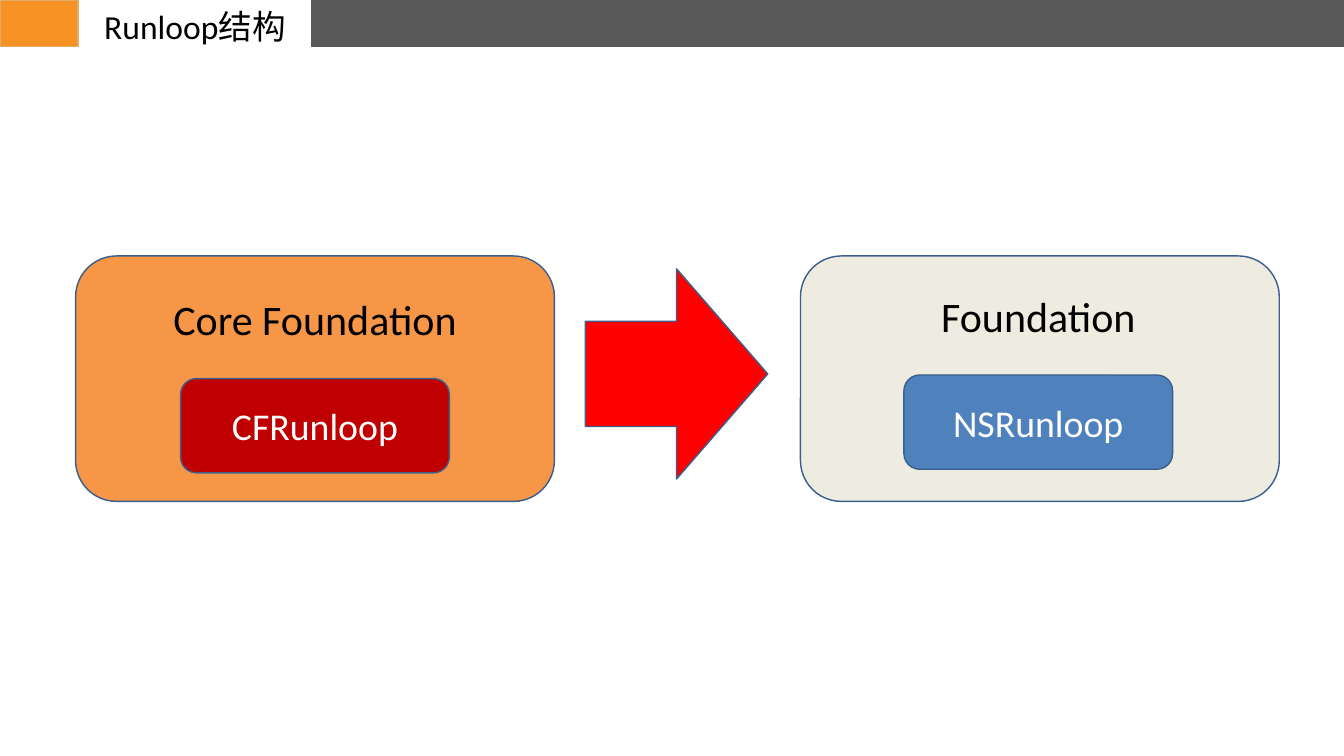
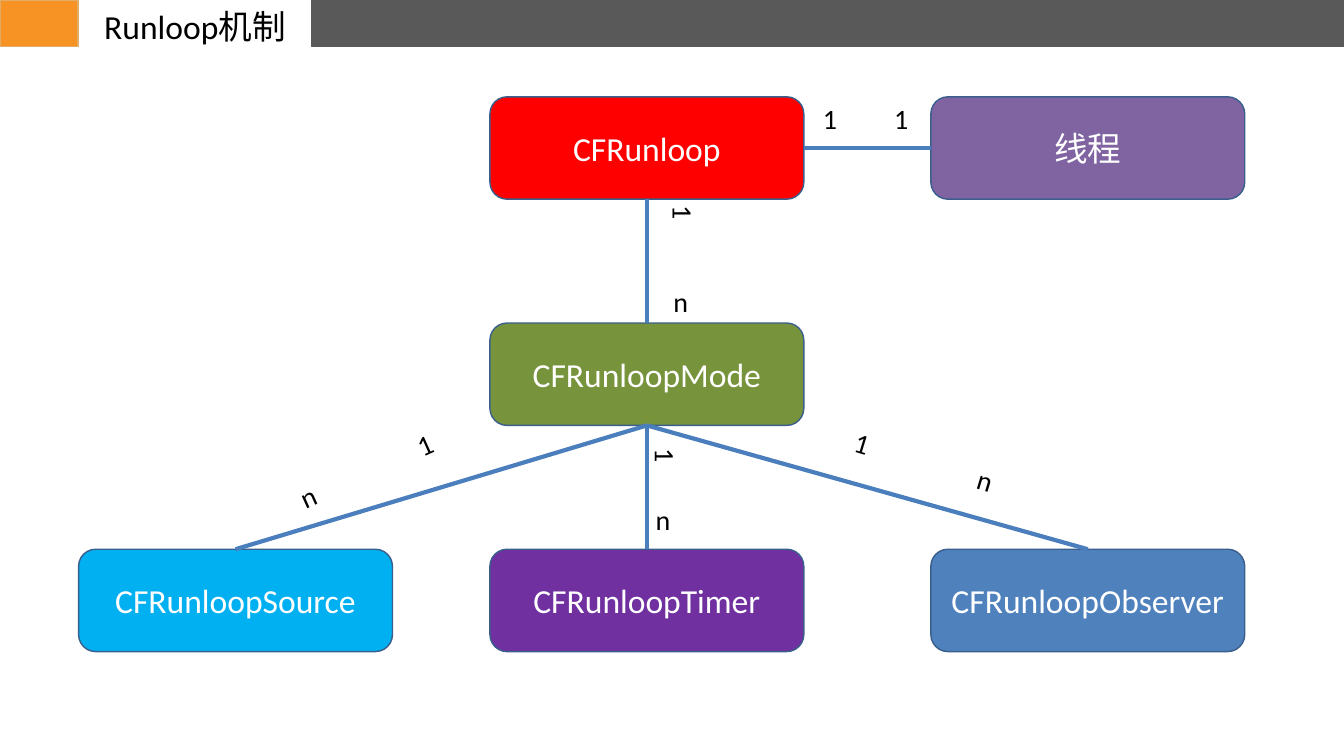
from dataclasses import dataclass
from typing import Optional, Union

import pptx
import pptx.dml.color
import pptx.enum.shapes
import pptx.enum.text
import pptx.oxml.ns
import pptx.shapes.autoshape
import pptx.shapes.shapetree
import pptx.slide
import pptx.text.text
import pptx.util
from lxml import etree

Cm = pptx.util.Cm
Pt = pptx.util.Pt
Preset = pptx.enum.shapes.MSO_SHAPE
Align = pptx.enum.text.PP_ALIGN
Anchor = pptx.enum.text.MSO_ANCHOR
Shapes = Union[pptx.shapes.shapetree.SlideShapes, pptx.shapes.shapetree.GroupShapes]

FONT = "Calibri"
COLOURS = {
    "black": "000000",
    "white": "FFFFFF",
    "band": "595959",
    "tab": "F79225",
    "tab_edge": "E2AC64",
    "edge": "3A5F8C",
    "link": "4B7EBC",
    "orange": "F79646",
    "cream": "EEECE1",
    "dark_red": "C00000",
    "red": "FF0000",
    "blue": "4F81BD",
    "green": "77933C",
    "sky": "00B0F0",
    "purple": "7030A0",
    "violet": "8064A2",
}
SLIDE_WIDTH, SLIDE_HEIGHT = 67.73, 38.1
BAND_HEIGHT = 2.36
BAND_LEFT = 15.7
TAB_WIDTH = 3.94
TOP, LEFT, BOTTOM, RIGHT = range(4)


@dataclass(frozen=True)
class Frame:
    left: float
    top: float
    width: float
    height: float

    def lengths(self) -> tuple:
        return Cm(self.left), Cm(self.top), Cm(self.width), Cm(self.height)


@dataclass(frozen=True)
class Panel:
    left: float
    caption_left: float
    caption_top: float
    caption: str
    badge: str
    fill: str
    badge_fill: str


@dataclass(frozen=True)
class Node:
    name: str
    column: int
    row: int
    fill: str


@dataclass(frozen=True)
class Link:
    start: str
    start_side: int
    end: str
    end_side: int


@dataclass(frozen=True)
class Label:
    text: str
    frame: Frame
    rotation: float = 0
    tab_stop: Optional[float] = None
    vertical: bool = False
    centred: bool = False


PANEL_WIDTH, PANEL_HEIGHT, PANEL_TOP = 24.13, 12.37, 12.9
BADGE_WIDTH, BADGE_HEIGHT, BADGE_DROP = 13.54, 4.75, 4.4
PANELS = [
    Panel(40.34, 40.26, 14.5, "Foundation", "NSRunloop", "cream", "blue"),
    Panel(3.81, 3.81, 14.68, "Core Foundation", "CFRunloop", "orange", "dark_red"),
]

NODE_WIDTH, NODE_HEIGHT = 15.82, 5.16
COLUMNS = [3.96, 24.69, 46.91]
ROW_TOP, ROW_STEP = 4.88, 11.4
NODES = [
    Node("CFRunloop", 1, 0, "red"),
    Node("CFRunloopMode", 1, 1, "green"),
    Node("CFRunloopSource", 0, 2, "sky"),
    Node("CFRunloopTimer", 1, 2, "purple"),
    Node("CFRunloopObserver", 2, 2, "blue"),
    Node("线程", 2, 0, "violet"),
]
LINKS = [
    Link("CFRunloop", RIGHT, "线程", LEFT),
    Link("CFRunloop", BOTTOM, "CFRunloopMode", TOP),
    Link("CFRunloopTimer", TOP, "CFRunloopMode", BOTTOM),
    Link("CFRunloopSource", TOP, "CFRunloopMode", BOTTOM),
    Link("CFRunloopObserver", TOP, "CFRunloopMode", BOTTOM),
]
LABEL_HEIGHT = 1.96
PAIR_LABELS = [
    Label("1\t1", Frame(41.22, 5, 4.95, LABEL_HEIGHT), tab_stop=3.59),
    Label("n\t1", Frame(14.58, 22.58, 8.43, LABEL_HEIGHT), 335.9, 6.46),
    Label("1\tn", Frame(42.7, 22.4, 8.43, LABEL_HEIGHT), 17, 6.46),
]
STACKED_LABELS = [(33.17, 10.13, 14.22), (32.28, 22.33, 25.22)]


def colour(name: str) -> pptx.dml.color.RGBColor:
    return pptx.dml.color.RGBColor.from_string(COLOURS[name])


def write(
    frame: pptx.text.text.TextFrame,
    text: str,
    size: float,
    ink: str,
    align: Align = Align.CENTER,
    anchor: Anchor = Anchor.MIDDLE,
    grow: bool = False,
) -> None:
    frame.text = text
    frame.word_wrap = True
    frame.vertical_anchor = anchor
    if grow:
        frame.auto_size = pptx.enum.text.MSO_AUTO_SIZE.SHAPE_TO_FIT_TEXT
    for para in frame.paragraphs:
        para.alignment = align
        for span in para.runs:
            span.font.name = FONT
            span.font.size = Pt(size)
            span.font.color.rgb = colour(ink)


def add_block(
    shapes: Shapes, preset: Preset, frame: Frame, fill: str, edge: str = "edge"
) -> pptx.shapes.autoshape.Shape:
    block = shapes.add_shape(preset, *frame.lengths())
    block.shadow.inherit = False
    block.fill.solid()
    block.fill.fore_color.rgb = colour(fill)
    block.line.color.rgb = colour(edge)
    block.line.width = Pt(2)
    return block


def add_page(deck, title: str) -> pptx.slide.Slide:
    page = deck.slides.add_slide(deck.slide_layouts[5])
    band = Frame(BAND_LEFT, 0, SLIDE_WIDTH - BAND_LEFT, BAND_HEIGHT)
    add_block(page.shapes, Preset.RECTANGLE, band, "band", "band")
    tab = Frame(0, 0, TAB_WIDTH, BAND_HEIGHT)
    add_block(page.shapes, Preset.RECTANGLE, tab, "tab", "tab_edge")
    heading = page.shapes.title
    title_frame = Frame(3.96, 0.15, 11.73, 2.31)
    heading.left, heading.top, heading.width, heading.height = title_frame.lengths()
    write(heading.text_frame, title, 48, "black", grow=True)
    return page


def add_panel(page: pptx.slide.Slide, panel: Panel) -> None:
    shapes = page.shapes.add_group_shape().shapes
    outer = Frame(panel.left, PANEL_TOP, PANEL_WIDTH, PANEL_HEIGHT)
    add_block(shapes, Preset.ROUNDED_RECTANGLE, outer, panel.fill)
    caption = Frame(panel.caption_left, panel.caption_top, PANEL_WIDTH, 2.82)
    box = shapes.add_textbox(*caption.lengths())
    write(box.text_frame, panel.caption, 60, "black", anchor=Anchor.TOP, grow=True)
    inner = Frame(
        panel.caption_left + (PANEL_WIDTH - BADGE_WIDTH) / 2,
        panel.caption_top + BADGE_DROP,
        BADGE_WIDTH,
        BADGE_HEIGHT,
    )
    badge = add_block(shapes, Preset.ROUNDED_RECTANGLE, inner, panel.badge_fill)
    write(badge.text_frame, panel.badge, 54, "white")


def add_node(page: pptx.slide.Slide, node: Node) -> pptx.shapes.autoshape.Shape:
    top = ROW_TOP + node.row * ROW_STEP
    frame = Frame(COLUMNS[node.column], top, NODE_WIDTH, NODE_HEIGHT)
    block = add_block(page.shapes, Preset.ROUNDED_RECTANGLE, frame, node.fill)
    write(block.text_frame, node.name, 48, "white")
    return block


def add_link(page: pptx.slide.Slide, link: Link, blocks: dict) -> None:
    straight = pptx.enum.shapes.MSO_CONNECTOR.STRAIGHT
    connector = page.shapes.add_connector(straight, 0, 0, 0, 0)
    connector.begin_connect(blocks[link.start], link.start_side)
    connector.end_connect(blocks[link.end], link.end_side)
    connector.line.color.rgb = colour("link")
    connector.line.width = Pt(6)
    etree.SubElement(connector._element.spPr, pptx.oxml.ns.qn("a:effectLst"))


def add_label(shapes: Shapes, label: Label) -> None:
    box = shapes.add_textbox(*label.frame.lengths())
    box.rotation = label.rotation
    align = Align.CENTER if label.centred else Align.LEFT
    write(box.text_frame, label.text, 40, "black", align, Anchor.TOP, True)
    if label.vertical:
        box.text_frame._txBody.bodyPr.set("vert", "eaVert")
    if label.tab_stop is not None:
        properties = box.text_frame.paragraphs[0]._p.get_or_add_pPr()
        stops = etree.SubElement(properties, pptx.oxml.ns.qn("a:tabLst"))
        stop = etree.SubElement(stops, pptx.oxml.ns.qn("a:tab"))
        stop.set("pos", str(int(Cm(label.tab_stop))))
        stop.set("algn", "l")


def build_structure(deck) -> None:
    page = add_page(deck, "Runloop结构")
    for panel in PANELS:
        add_panel(page, panel)
    frame = Frame(28.8, 14.25, 10.59, 9.19)
    arrow = add_block(page.shapes, Preset.DOWN_ARROW, frame, "red")
    arrow.rotation = 270


def build_mechanism(deck) -> None:
    page = add_page(deck, "Runloop机制")
    blocks = {node.name: add_node(page, node) for node in NODES}
    for link in LINKS:
        add_link(page, link, blocks)
    for label in PAIR_LABELS:
        add_label(page.shapes, label)
    for left, one_top, many_top in STACKED_LABELS:
        shapes = page.shapes.add_group_shape().shapes
        add_label(shapes, Label("1", Frame(left, one_top, 2.26, 2.06), vertical=True))
        many = Frame(left - 0.23, many_top, 2.72, LABEL_HEIGHT)
        add_label(shapes, Label("n", many, centred=True))


def main() -> None:
    deck = pptx.Presentation()
    deck.slide_width = Cm(SLIDE_WIDTH)
    deck.slide_height = Cm(SLIDE_HEIGHT)
    build_structure(deck)
    build_mechanism(deck)
    deck.save("out.pptx")


if __name__ == "__main__":
    main()
